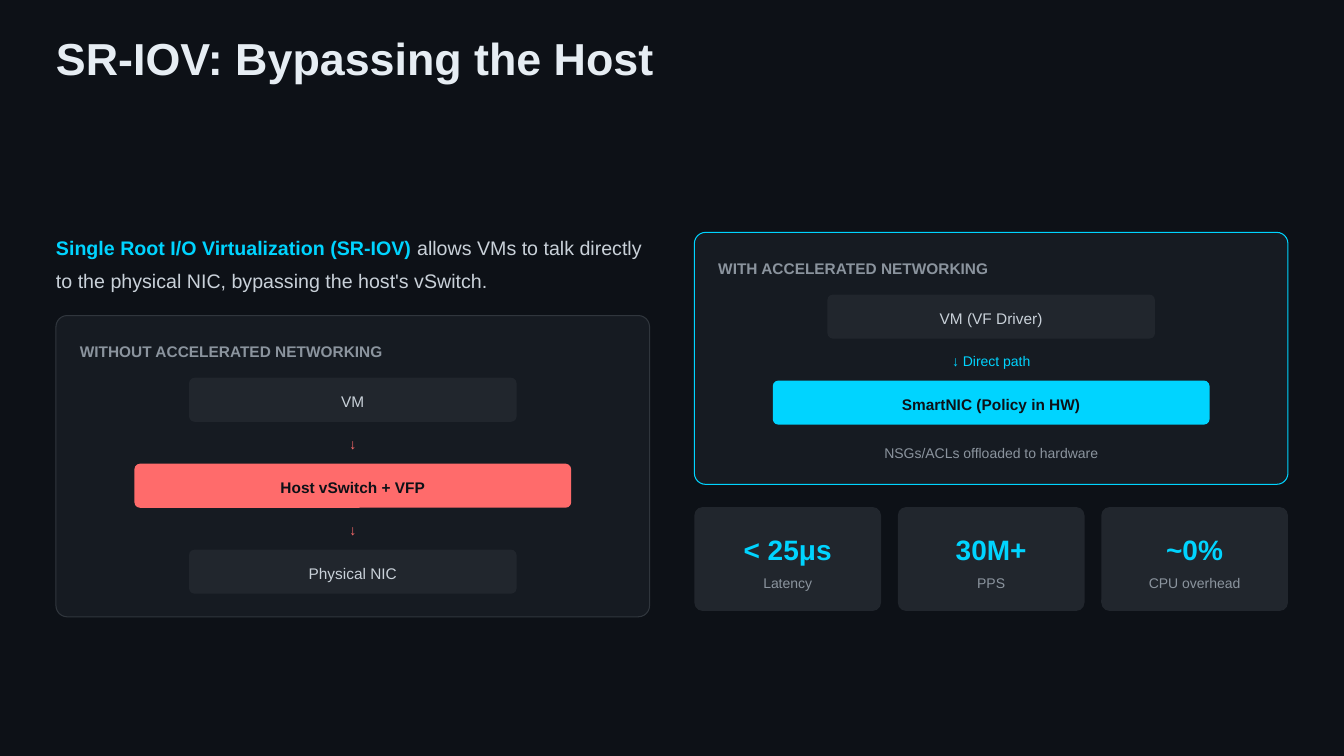
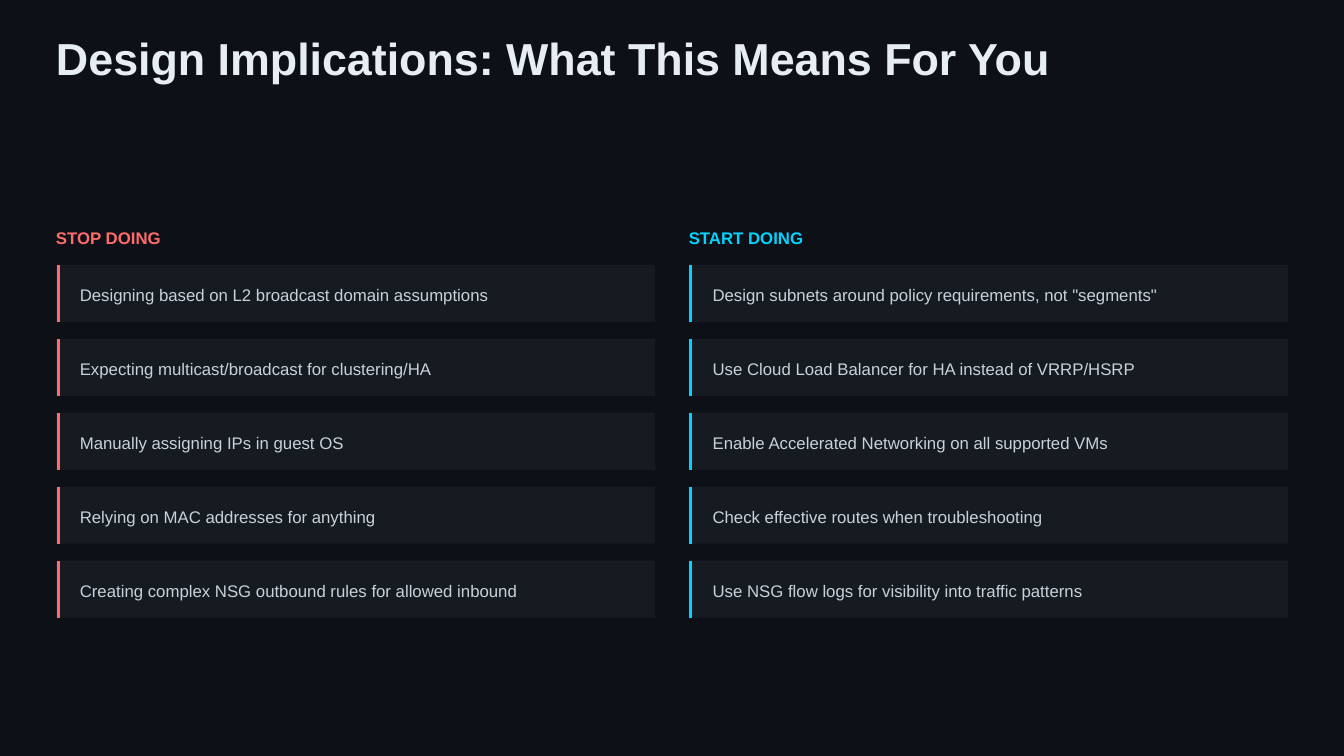
"""Build two dark slides on accelerated networking and its design implications."""
from dataclasses import dataclass

from lxml import etree
from pptx import Presentation
from pptx.dml.color import RGBColor
from pptx.enum.shapes import MSO_CONNECTOR, MSO_SHAPE
from pptx.enum.text import MSO_ANCHOR, MSO_AUTO_SIZE, PP_ALIGN
from pptx.oxml.ns import qn
from pptx.util import Pt

ROUNDED, RECT = MSO_SHAPE.ROUNDED_RECTANGLE, MSO_SHAPE.RECTANGLE
STRAIGHT = MSO_CONNECTOR.STRAIGHT
LEFT, CENTER = PP_ALIGN.LEFT, PP_ALIGN.CENTER
TOP, MIDDLE = MSO_ANCHOR.TOP, MSO_ANCHOR.MIDDLE
NO_FIT = MSO_AUTO_SIZE.NONE
LAYOUT_CONTENT, LAYOUT_COMPARISON = 1, 4

FONT = "Arial"
COLORS = {
    "bg": "0D1117", "title": "E6EDF3", "text": "C9D1D9", "muted": "8B949E",
    "panel": "161B22", "border": "30363D", "box": "21262D",
    "cyan": "00D4FF", "red": "FF6B6B",
}
MARGIN = 40
CONTENT_W = 880
PANEL_W = 424
NODE_H, NODE_TOP, NODE_PITCH = 31.5, 44.4, 61.4
STAT_GAP, STAT_TOP, STAT_H = 12, 362.2, 74.2
CARD_W, CARD_H, CARD_TOP, CARD_PITCH = 428, 40.8, 189.2, 52.8


@dataclass(frozen=True)
class Node:
    text: str
    accent: bool = False


@dataclass(frozen=True)
class Panel:
    heading: str
    left: float
    top: float
    height: float
    border: str
    accent: str
    link: str
    nodes: tuple[Node, ...]


@dataclass(frozen=True)
class Stat:
    value: str
    label: str


@dataclass(frozen=True)
class Column:
    heading: str
    left: float
    color: str
    items: tuple[str, ...]


PANELS = (
    Panel("WITHOUT ACCELERATED NETWORKING", MARGIN, 225.4, 215.2, "border", "red", "↓",
          (Node("VM"), Node("Host vSwitch + VFP", True), Node("Physical NIC"))),
    Panel("WITH ACCELERATED NETWORKING", 496, 166, 180, "cyan", "cyan", "↓ Direct path",
          (Node("VM (VF Driver)"), Node("SmartNIC (Policy in HW)", True))),
)
STATS = (Stat("< 25μs", "Latency"), Stat("30M+", "PPS"), Stat("~0%", "CPU overhead"))
COLUMNS = (
    Column("STOP DOING", MARGIN, "red", (
        "Designing based on L2 broadcast domain assumptions",
        "Expecting multicast/broadcast for clustering/HA",
        "Manually assigning IPs in guest OS",
        "Relying on MAC addresses for anything",
        "Creating complex NSG outbound rules for allowed inbound",
    )),
    Column("START DOING", 492, "cyan", (
        'Design subnets around policy requirements, not "segments"',
        "Use Cloud Load Balancer for HA instead of VRRP/HSRP",
        "Enable Accelerated Networking on all supported VMs",
        "Check effective routes when troubleshooting",
        "Use NSG flow logs for visibility into traffic patterns",
    )),
)


def rgb(name: str) -> RGBColor:
    return RGBColor.from_string(COLORS[name])


def add_run(p, text: str, *, size: float, color: str, bold: bool = False) -> None:
    r = p.add_run()
    r.text = text
    r.font.name = FONT
    r.font.size = Pt(size)
    r.font.bold = bold
    r.font.color.rgb = rgb(color)


def add_para(tf, text: str, *, size: float, color: str, bold: bool = False,
             align=LEFT, lead: float = 1.4, before: float = 0):
    p = tf.paragraphs[0]
    if p.runs:
        p = tf.add_paragraph()
    p.alignment = align
    p.line_spacing = Pt(size * lead)
    p.space_before = Pt(before)
    add_run(p, text, size=size, color=color, bold=bold)
    return p


def prepare_frame(tf, anchor=TOP):
    tf.margin_left = tf.margin_right = tf.margin_top = tf.margin_bottom = 0
    tf.word_wrap = True
    tf.auto_size = NO_FIT
    tf.vertical_anchor = anchor
    return tf


def add_label(slide, text: str, left: float, top: float, width: float, **fmt) -> None:
    height = fmt["size"] * 1.4
    sp = slide.shapes.add_textbox(Pt(left), Pt(top), Pt(width), Pt(height))
    add_para(prepare_frame(sp.text_frame), text, **fmt)


def add_box(slide, left: float, top: float, width: float, height: float, fill: str,
            radius: float = 0, border: str = ""):
    sp = slide.shapes.add_shape(ROUNDED if radius else RECT,
                                Pt(left), Pt(top), Pt(width), Pt(height))
    sp.shadow.inherit = False
    sp.fill.solid()
    sp.fill.fore_color.rgb = rgb(fill)
    if radius:
        sp.adjustments[0] = radius / min(width, height)
    if border:
        sp.line.color.rgb = rgb(border)
        sp.line.width = Pt(0.75)
    else:
        sp.line.fill.background()
    return prepare_frame(sp.text_frame, MIDDLE)


def add_bar(slide, x: float, top: float, height: float, color: str) -> None:
    bar = slide.shapes.add_connector(STRAIGHT, Pt(x), Pt(top), Pt(x), Pt(top + height))
    bar.line.color.rgb = rgb(color)
    bar.line.width = Pt(2.25)
    etree.SubElement(bar.element.spPr, qn("a:effectLst"))


def fill_placeholder(slide, idx: int, left: float, top: float, width: float,
                     height: float, texts: tuple[str, ...], *, gap: float = 0, **fmt):
    sp = slide.placeholders[idx]
    sp.left, sp.top, sp.width, sp.height = Pt(left), Pt(top), Pt(width), Pt(height)
    tf = prepare_frame(sp.text_frame)
    for i, text in enumerate(texts):
        p = add_para(tf, text, before=gap if i else 0, **fmt)
        pPr = p._p.get_or_add_pPr()
        pPr.set("marL", "0")
        pPr.set("indent", "0")
        etree.SubElement(pPr, qn("a:buNone"))
    slide.shapes.element.append(sp.element)
    return tf


def new_slide(prs, layout: int, title: str):
    slide = prs.slides.add_slide(prs.slide_layouts[layout])
    fill_placeholder(slide, 0, MARGIN, 28, CONTENT_W, 32, (title,),
                     size=32, color="title", bold=True, lead=1)
    return slide


def add_panel(slide, panel: Panel) -> None:
    add_box(slide, panel.left, panel.top, PANEL_W, panel.height, "panel", 8, panel.border)
    add_label(slide, panel.heading, panel.left + 17, panel.top + 16.8, PANEL_W - 26,
              size=11, color="muted", bold=True)
    for i, node in enumerate(panel.nodes):
        top = panel.top + NODE_TOP + i * NODE_PITCH
        width = 312 if node.accent else 234
        tf = add_box(slide, panel.left + (PANEL_W - width) / 2, top, width, NODE_H,
                     panel.accent if node.accent else "box", 4)
        add_para(tf, node.text, size=11, color="bg" if node.accent else "text",
                 bold=node.accent, align=CENTER)
        if i:
            add_label(slide, panel.link, panel.left, top - 21.8, PANEL_W,
                      size=10, color=panel.accent, align=CENTER)


def build_sriov(prs) -> None:
    slide = new_slide(prs, LAYOUT_CONTENT, "SR-IOV: Bypassing the Host")
    tf = fill_placeholder(slide, 1, MARGIN, 161.3, 432.7, 47.6,
                          ("Single Root I/O Virtualization (SR-IOV)",),
                          size=14, color="cyan", bold=True, lead=1.7)
    add_run(tf.paragraphs[0], " allows VMs to talk directly to the physical NIC, "
            "bypassing the host's vSwitch.", size=14, color="text")
    for panel in PANELS:
        add_panel(slide, panel)
    right = PANELS[1].left
    add_label(slide, "NSGs/ACLs offloaded to hardware", right, 315.4, PANEL_W,
              size=10, color="muted", align=CENTER)
    width = (PANEL_W - STAT_GAP * (len(STATS) - 1)) / len(STATS)
    for i, stat in enumerate(STATS):
        tf = add_box(slide, right + i * (width + STAT_GAP), STAT_TOP, width, STAT_H, "box", 6)
        add_para(tf, stat.value, size=20, color="cyan", bold=True, align=CENTER)
        add_para(tf, stat.label, size=10, color="muted", align=CENTER, before=4)


def build_implications(prs) -> None:
    slide = new_slide(prs, LAYOUT_COMPARISON, "Design Implications: What This Means For You")
    for i, col in enumerate(COLUMNS):
        fill_placeholder(slide, 2 * i + 1, col.left, 160.5, CARD_W, 16.8, (col.heading,),
                         size=12, color=col.color, bold=True)
        for row in range(len(col.items)):
            top = CARD_TOP + row * CARD_PITCH
            add_box(slide, col.left, top, CARD_W, CARD_H, "panel")
            add_bar(slide, col.left + 1.5, top, CARD_H, col.color)
        fill_placeholder(slide, 2 * i + 2, col.left + 17, CARD_TOP + 12, CARD_W - 23,
                         CARD_PITCH * len(col.items) - 36, col.items,
                         gap=CARD_PITCH - 16.8, size=12, color="text")


def main() -> None:
    prs = Presentation()
    prs.slide_width, prs.slide_height = Pt(960), Pt(540)
    bg = prs.slide_master.background.fill
    bg.solid()
    bg.fore_color.rgb = rgb("bg")
    build_sriov(prs)
    build_implications(prs)
    prs.save("out.pptx")


if __name__ == "__main__":
    main()
